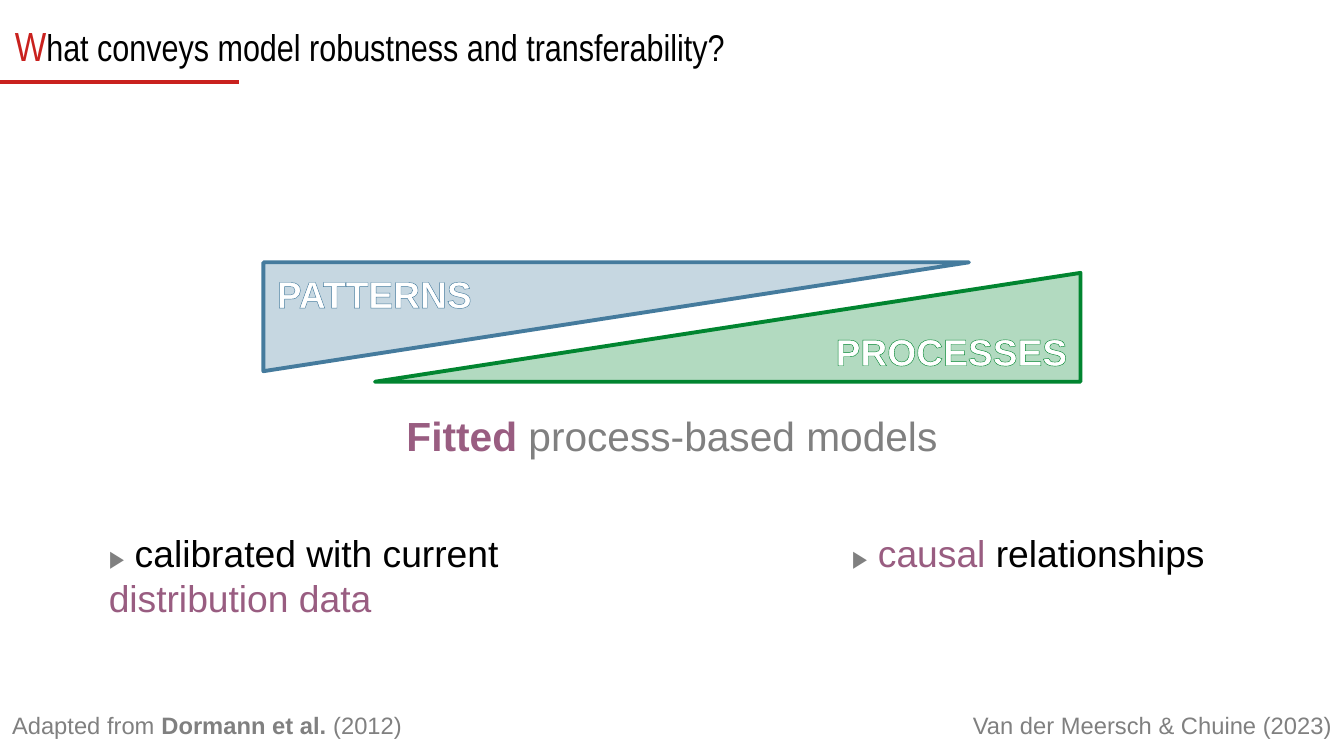
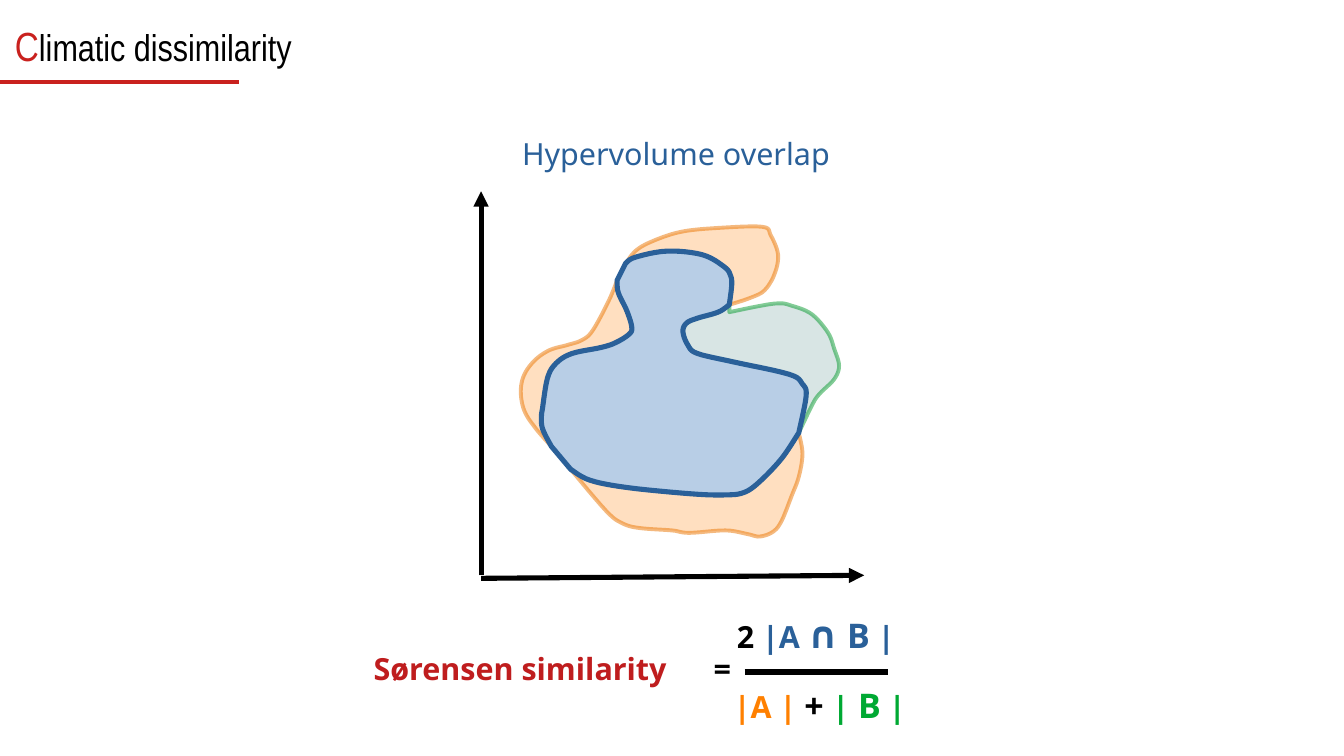
from dataclasses import dataclass
from typing import Optional

from lxml.etree import SubElement
from pptx import Presentation
from pptx.dml.color import RGBColor
from pptx.enum.shapes import MSO_CONNECTOR as Connector
from pptx.enum.text import MSO_ANCHOR as Anchor, MSO_AUTO_SIZE as AutoSize, PP_ALIGN as Align
from pptx.oxml.ns import qn
from pptx.util import Emu, Inches, Pt

WIDTH, HEIGHT = Inches(11.02), Inches(6.2)
GRID_COLUMNS, GRID_ROWS = 1102, 620
TITLE_ONLY = 5
SIDE_WIDTH = 32.1
COLORS = {
    "black": "000000", "white": "FFFFFF", "grey": "808080", "accent": "C9211E",
    "plum": "995D81", "patterns": "457B9D", "processes": "018530", "score": "BF1D1E",
    "overlap": "2A6099", "overlap_fill": "729FCF", "first": "FF8000",
    "first_line": "EA7500", "first_fill": "FF972F", "second": "00A933",
    "second_line": "069A2E", "second_fill": "81ACA6",
}
Points = list[tuple[float, float]]


@dataclass(frozen=True)
class Box:
    """Shares of the slide, in percent."""
    left: float
    top: float
    width: float
    height: float


@dataclass(frozen=True)
class Run:
    text: str
    color: str = "black"
    size: float = 18
    bold: bool = False
    font: str = "Arial"
    outline: Optional[str] = None


@dataclass(frozen=True)
class Style:
    fill: str
    line: str
    weight: float = 2.3
    fill_opacity: int = 30
    line_opacity: int = 100


@dataclass(frozen=True)
class Wedge:
    label: str
    color: str
    corners: Points
    align: Align
    anchor: Anchor


WEDGES = [
    Wedge("PROCESSES", "processes", [(80.4, 36.1), (80.4, 50.5), (27.9, 50.5)],
          Align.RIGHT, Anchor.BOTTOM),
    Wedge("PATTERNS", "patterns", [(19.6, 49.1), (19.6, 34.7), (72.1, 34.7)],
          Align.LEFT, Anchor.TOP),
]

CROWN = [(513, 216), (521, 211), (547, 206), (576, 209), (594, 219), (599, 226),
         (600, 234), (598, 250)]
NECK = [(598, 250), (589, 256), (572, 261), (563, 265), (560, 272), (564, 283),
        (572, 290), (602, 297), (647, 307), (658, 315), (661, 325), (655, 355)]
BASE = [(655, 355), (641, 376), (623, 395), (610, 404), (594, 406), (566, 405),
        (515, 400), (484, 394), (468, 385)]
FLANK = [(452, 366), (445, 352), (444, 342), (445, 334), (449, 310), (456, 298),
         (469, 290), (493, 285), (505, 281), (516, 274), (518, 268), (514, 255),
         (507, 240), (506, 230)]
CROWN_RIM = [(598, 250), (616, 244), (627, 238), (635, 225), (638, 209), (632, 193),
             (625, 186), (588, 187), (559, 190), (537, 197), (522, 205), (513, 216)]
NECK_RIM = [(655, 355), (666, 332), (672, 323), (684, 311), (688, 300), (684, 286),
            (679, 273), (666, 258), (650, 251), (635, 249), (598, 256)]
BASE_RIM = [(468, 385), (497, 419), (510, 429), (524, 433), (551, 435), (565, 437),
            (595, 435), (613, 438), (623, 440), (634, 436), (641, 427), (649, 407),
            (655, 391), (658, 372), (655, 355)]
FLANK_RIM = [(506, 230), (499, 247), (486, 271), (477, 279), (465, 283), (451, 287),
             (439, 295), (430, 307), (427, 321), (430, 337), (439, 351), (452, 366)]


def across(share: float) -> Emu:
    return Emu(round(WIDTH * share / 100))


def down(share: float) -> Emu:
    return Emu(round(HEIGHT * share / 100))


def rgb(name: str) -> RGBColor:
    return RGBColor.from_string(COLORS[name])


def set_opacity(element, percent: int) -> None:
    if percent < 100:
        for color in element.iter(qn("a:srgbClr")):
            SubElement(color, qn("a:alpha"), val=str(percent * 1000))


def write(shape, runs: list[Run], align: Align = Align.LEFT,
          anchor: Anchor = Anchor.MIDDLE, margins: tuple[float, float] = (0.1, 0.05)) -> None:
    frame = shape.text_frame
    frame.word_wrap = True
    frame.auto_size = AutoSize.NONE
    frame.vertical_anchor = anchor
    frame.margin_left = frame.margin_right = Inches(margins[0])
    frame.margin_top = frame.margin_bottom = Inches(margins[1])
    paragraph = frame.paragraphs[0]
    paragraph.alignment = align
    for item in runs:
        run = paragraph.add_run()
        run.text = item.text
        run.font.name = item.font
        run.font.size = Pt(item.size)
        run.font.bold = item.bold
        run.font.color.rgb = rgb(item.color)
        if item.outline:
            properties = run.font.fill._xPr
            outline = SubElement(properties, qn("a:ln"), w=str(Pt(0.75)))
            fill = SubElement(outline, qn("a:solidFill"))
            SubElement(fill, qn("a:srgbClr"), val=COLORS[item.outline])
            properties.insert(0, outline)


def place(shape, box: Box) -> None:
    shape.left, shape.top = across(box.left), down(box.top)
    shape.width, shape.height = across(box.width), down(box.height)


def add_text(slide, box: Box, runs: list[Run], **layout) -> None:
    shape = slide.shapes.add_textbox(0, 0, 0, 0)
    place(shape, box)
    write(shape, runs, **layout)


def add_line(slide, start: tuple[float, float], end: tuple[float, float],
             color: str = "black", weight: float = 3, arrow: bool = False) -> None:
    line = slide.shapes.add_connector(Connector.STRAIGHT, across(start[0]), down(start[1]),
                                      across(end[0]), down(end[1]))
    line.line.color.rgb = rgb(color)
    line.line.width = Pt(weight)
    if arrow:
        SubElement(line.line._get_or_add_ln(), qn("a:tailEnd"), type="triangle")
    SubElement(line._element.spPr, qn("a:effectLst"))


def add_outline(slide, contours: list[Points], style: Style,
                columns: float = 100, rows: float = 100):
    scaled = [[(round(WIDTH * x / columns), round(HEIGHT * y / rows)) for x, y in contour]
              for contour in contours]
    builder = slide.shapes.build_freeform(*scaled[0][0], scale=1.0)
    for index, contour in enumerate(scaled):
        if index:
            builder.move_to(*contour[0])
        builder.add_line_segments(contour[1:], close=True)
    shape = builder.convert_to_shape()
    shape.shadow.inherit = False
    shape.fill.solid()
    shape.fill.fore_color.rgb = rgb(style.fill)
    set_opacity(shape._element.spPr.find(qn("a:solidFill")), style.fill_opacity)
    shape.line.color.rgb = rgb(style.line)
    shape.line.width = Pt(style.weight)
    outline = shape.line._get_or_add_ln()
    set_opacity(outline, style.line_opacity)
    SubElement(outline, qn("a:round"))
    return shape


def smooth(anchors: Points, steps: int = 6) -> Points:
    padded = [anchors[0], *anchors, anchors[-1]]
    curve = [anchors[0]]
    for before, start, end, after in zip(padded, padded[1:], padded[2:], padded[3:]):
        for step in range(1, steps + 1):
            t = step / steps
            curve.append(tuple(
                0.5 * (2 * b + (c - a) * t + (2 * a - 5 * b + 4 * c - d) * t ** 2
                       + (3 * b - a - 3 * c + d) * t ** 3)
                for a, b, c, d in zip(before, start, end, after)))
    return curve


def join(*arcs: Points) -> Points:
    return [point for arc in arcs for point in smooth(arc)]


def add_titled_slide(presentation, title: str):
    slide = presentation.slides.add_slide(presentation.slide_layouts[TITLE_ONLY])
    place(slide.shapes.title, Box(0.2, -1, 99.7, 13.9))
    write(slide.shapes.title, [Run(title[0], "accent", 24, font="Arial Narrow"),
                               Run(title[1:], size=22, font="Arial Narrow")])
    add_line(slide, (-0.1, 10.8), (17.8, 10.8), "accent", 2.3)
    return slide


def build_robustness(presentation) -> None:
    slide = add_titled_slide(presentation, "What conveys model robustness and transferability?")
    for wedge in WEDGES:
        shape = add_outline(slide, [wedge.corners], Style(wedge.color, wedge.color))
        write(shape, [Run(wedge.label, "white", 22, True, outline=wedge.color)],
              align=wedge.align, anchor=wedge.anchor, margins=(0.11, 0.07))
    add_text(slide, Box(28.6, 51.3, 42.8, 12.6),
             [Run("Fitted", "plum", 24, True), Run(" process-based models", "grey", 24)],
             align=Align.CENTER)
    points = {
        7.2: [Run(" calibrated with current ", size=22), Run("distribution data", "plum", 22)],
        62.5: [Run(" ", size=22), Run("causal", "plum", 22), Run(" relationships", size=22)],
    }
    for left, runs in points.items():
        add_text(slide, Box(left, 69.4, SIDE_WIDTH, 14.5), [Run("▶", "grey", 14), *runs],
                 anchor=Anchor.TOP)
    add_text(slide, Box(0, 92.1, SIDE_WIDTH, 7.6),
             [Run("Adapted from ", "grey", 14), Run("Dormann et al.", "grey", 14, True),
              Run(" (2012)", "grey", 14)])
    add_text(slide, Box(100 - SIDE_WIDTH, 92.1, SIDE_WIDTH, 7.6),
             [Run("Van der Meersch & Chuine (2023)", "grey", 14)], align=Align.RIGHT)


def formula(text: str, color: str = "black", size: float = 18, bold: bool = True) -> Run:
    return Run(text, color, size, bold, "Noto Sans")


def build_dissimilarity(presentation) -> None:
    slide = add_titled_slide(presentation, "Climatic dissimilarity")
    add_line(slide, (35.8, 76.1), (35.8, 25.3), arrow=True)
    add_line(slide, (35.8, 76.5), (64.3, 76.1), arrow=True)
    regions = [
        ([join(BASE, BASE_RIM), join(CROWN, CROWN_RIM), join(FLANK, FLANK_RIM)],
         Style("first_fill", "first_line", line_opacity=50)),
        ([join(NECK, NECK_RIM)], Style("second_fill", "second_line", line_opacity=50)),
        ([join(CROWN, NECK, BASE, FLANK)], Style("overlap_fill", "overlap", 3, 50)),
    ]
    for contours, style in regions:
        add_outline(slide, contours, style, GRID_COLUMNS, GRID_ROWS)
    add_text(slide, Box(37.8, 15.8, 25, 9),
             [formula("Hypervolume overlap", "overlap", bold=False)], align=Align.CENTER)
    add_text(slide, Box(26.9, 83.9, 25, 9), [formula("Sørensen similarity", "score")])
    add_text(slide, Box(52.2, 83.9, 3.6, 9), [formula("=")])
    fraction = {
        78.7: [formula("2"), formula(" |A ", "overlap"), formula("∩", "overlap", 22),
               formula(" B", "overlap", 20), formula(" |", "overlap")],
        88.2: [formula(" |A | ", "first"), formula("+ ", size=20), formula("|", "second"),
               formula(" B", "second", 20), formula(" |", "second")],
    }
    for top, runs in fraction.items():
        add_text(slide, Box(50, top, 21.4, 10.2), runs, align=Align.CENTER)
    add_line(slide, (55.4, 88.9), (66.1, 88.9))


def main() -> None:
    presentation = Presentation()
    presentation.slide_width, presentation.slide_height = WIDTH, HEIGHT
    build_robustness(presentation)
    build_dissimilarity(presentation)
    presentation.save("out.pptx")


if __name__ == "__main__":
    main()
